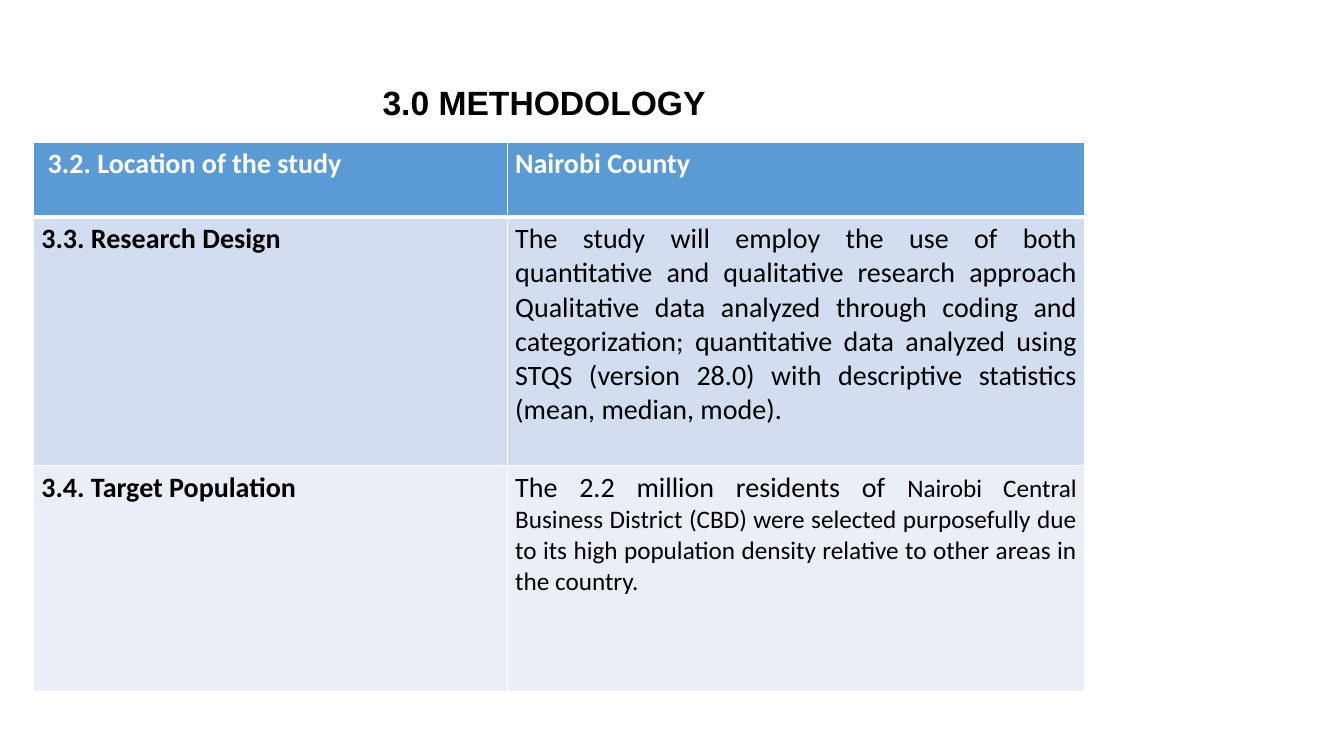
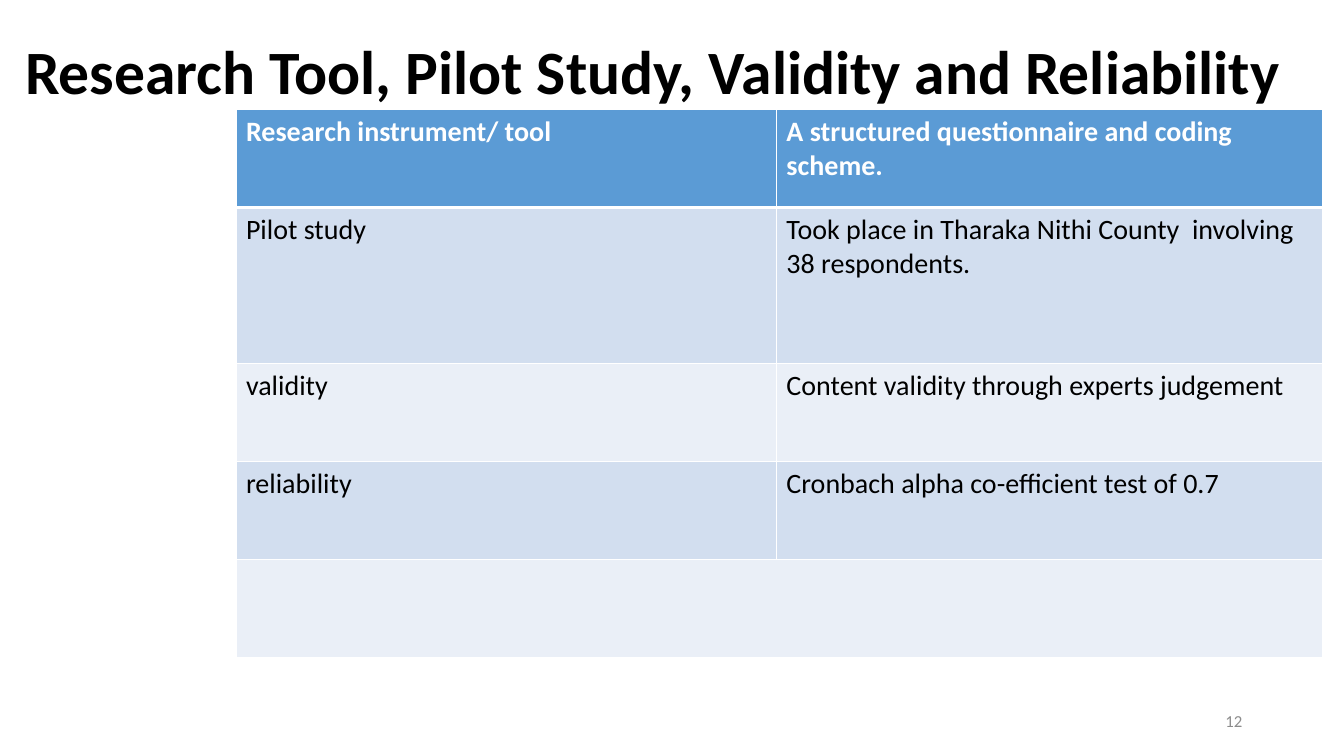
from lxml import etree
from pptx import Presentation
from pptx.dml.color import RGBColor
from pptx.enum import text as t
from pptx.oxml import ns
from pptx.util import Inches, Pt

HUES = {"head": "5B9BD5", "dark": "D2DEEF", "light": "EAEFF7",
        "white": "FFFFFF", "black": "000000", "gray": "8C8C8C"}
LEFT, MID, RIGHT, FULL = (t.PP_ALIGN.LEFT, t.PP_ALIGN.CENTER,
                          t.PP_ALIGN.RIGHT, t.PP_ALIGN.JUSTIFY)


def hue(name):
    return RGBColor.from_string(HUES[name])


def write(frame, parts, size=20, font="Calibri", color="black",
          bold=False, align=LEFT, space=None):
    """Fill a frame with one paragraph; a part is text or (text, size)."""
    para = frame.paragraphs[0]
    para.alignment = align
    if space:
        para.line_spacing = space
    for part in [parts] if isinstance(parts, str) else parts:
        words, points = (part, size) if isinstance(part, str) else part
        run = para.add_run()
        run.text = words
        run.font.size = Pt(points)
        run.font.name = font
        run.font.bold = bold
        run.font.color.rgb = hue(color)


class Deck:
    def __init__(self):
        self.show = Presentation()
        self.show.slide_width = Inches(13.33)
        self.show.slide_height = Inches(7.5)
        self.slide = None

    def page(self):
        self.slide = self.show.slides.add_slide(self.show.slide_layouts[6])

    def label(self, words, box, **style):
        frame = self.slide.shapes.add_textbox(*map(Inches, box)).text_frame
        frame.word_wrap = True
        frame.vertical_anchor = t.MSO_ANCHOR.MIDDLE
        write(frame, words, **style)

    def title(self, words, box, **style):
        self.label(words, box, bold=True, space=0.9, **style)

    def number(self, value):
        self.label(str(value), (9.42, 6.95, 3, 0.4), size=12,
                   color="gray", align=RIGHT)

    def edges(self, cell, row):
        """White rules, with a thick one below the header row."""
        props = cell._tc.get_or_add_tcPr()
        wide = {"lnT": 3 if row == 1 else 1, "lnB": 3 if row == 0 else 1}
        for spot, side in enumerate(("lnL", "lnR", "lnT", "lnB")):
            line = etree.Element(ns.qn("a:" + side),
                                 w=str(Pt(wide.get(side, 1))))
            fill = etree.SubElement(line, ns.qn("a:solidFill"))
            etree.SubElement(fill, ns.qn("a:srgbClr"), val=HUES["white"])
            props.insert(spot, line)

    def table(self, spot, cols, rows, cells, pad=0.1, strong=False, aligns=None):
        """Cells by row; strong sets the first column in bold."""
        grid = self.slide.shapes.add_table(
            len(rows), len(cols),
            *map(Inches, (*spot, sum(cols), sum(rows)))).table
        for col, width in zip(grid.columns, cols):
            col.width = Inches(width)
        for r, high in enumerate(rows):
            grid.rows[r].height = Inches(high)
            band = "head" if r == 0 else "dark" if r % 2 else "light"
            for c in range(len(cols)):
                cell = grid.cell(r, c)
                cell.margin_left = cell.margin_right = Inches(pad)
                cell.fill.solid()
                cell.fill.fore_color.rgb = hue(band)
                self.edges(cell, r)
                if c < len(cells[r]):
                    write(cell.text_frame, cells[r][c],
                          color="black" if r else "white",
                          bold=r == 0 or strong and c == 0,
                          align=aligns[r][c] if aligns else LEFT)
            if not cells[r]:
                grid.cell(r, 0).merge(grid.cell(r, len(cols) - 1))


def main():
    deck = Deck()

    # Methodology
    deck.page()
    deck.title("3.0 METHODOLOGY ", (0.74, 0.67, 9.4, 0.74),
               size=24, font="Arial", align=MID)
    deck.table((0.33, 1.41), (4.7, 5.73), (0.74, 2.47, 2.24), [
        [" 3.2. Location of the study ", "Nairobi County "],
        ["3.3. Research Design",
         "The study will employ the use of both quantitative and qualitative "
         "research approach Qualitative data analyzed through coding and "
         "categorization; quantitative data analyzed using STQS (version "
         "28.0) with descriptive statistics (mean, median, mode)."],
        ["3.4. Target Population ",
         ["The 2.2 million residents of ",
          ("Nairobi Central Business District (CBD) were selected "
           "purposefully due to its high population density relative to "
           "other areas in the country. ", 18)]],
    ], pad=0.08, strong=True, aligns=[(FULL, FULL), (LEFT, FULL), (FULL, FULL)])

    # Research tool
    deck.page()
    deck.title("Research Tool, Pilot Study, Validity and Reliability",
               (0.15, 0.15, 13.08, 1.18), size=44)
    deck.table((2.34, 1.09), (5.36, 5.42), (0.97, 1.55, 0.97, 0.97, 0.97), [
        ["Research instrument/ tool",
         "A structured questionnaire and coding scheme."],
        ["Pilot study",
         "Took place in Tharaka Nithi County  involving 38 respondents."],
        ["validity", "Content validity through experts judgement"],
        ["reliability", "Cronbach alpha co-efficient test of 0.7"],
        [],
    ])
    deck.number(12)

    deck.show.save("out.pptx")


if __name__ == "__main__":
    main()
